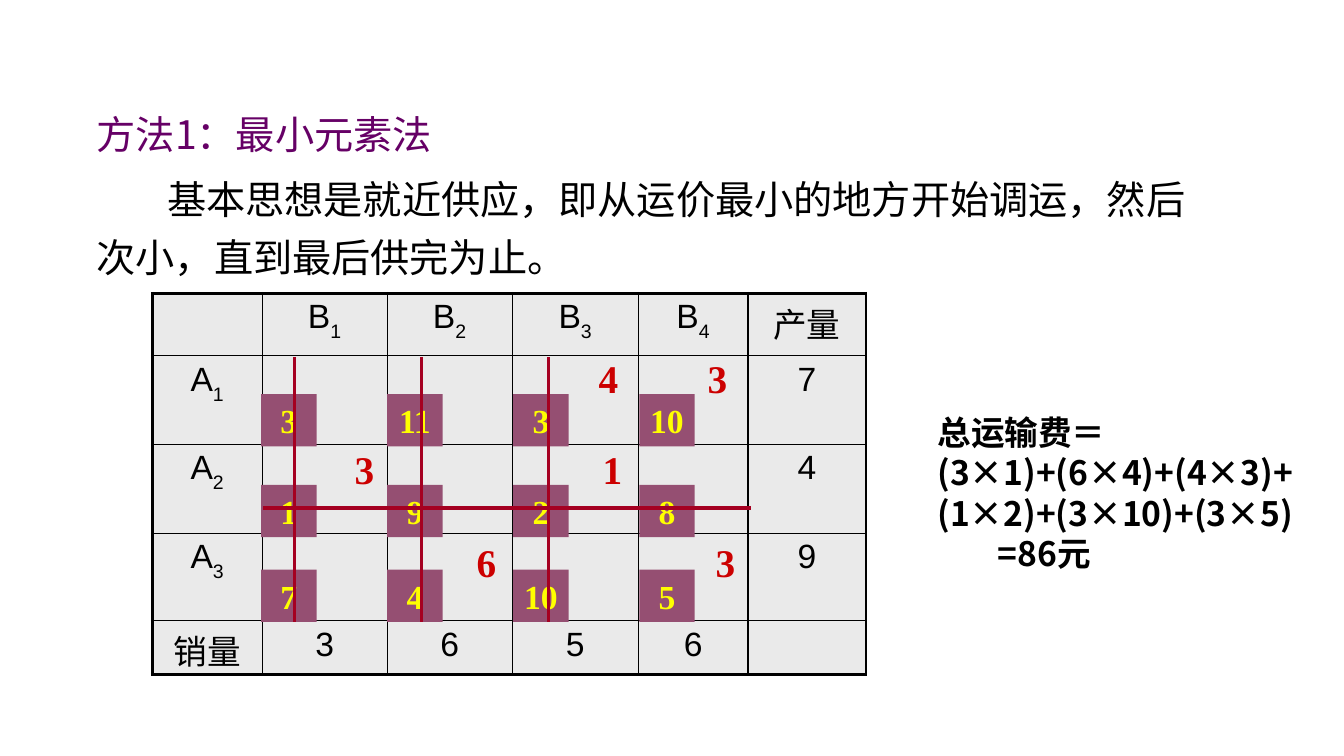
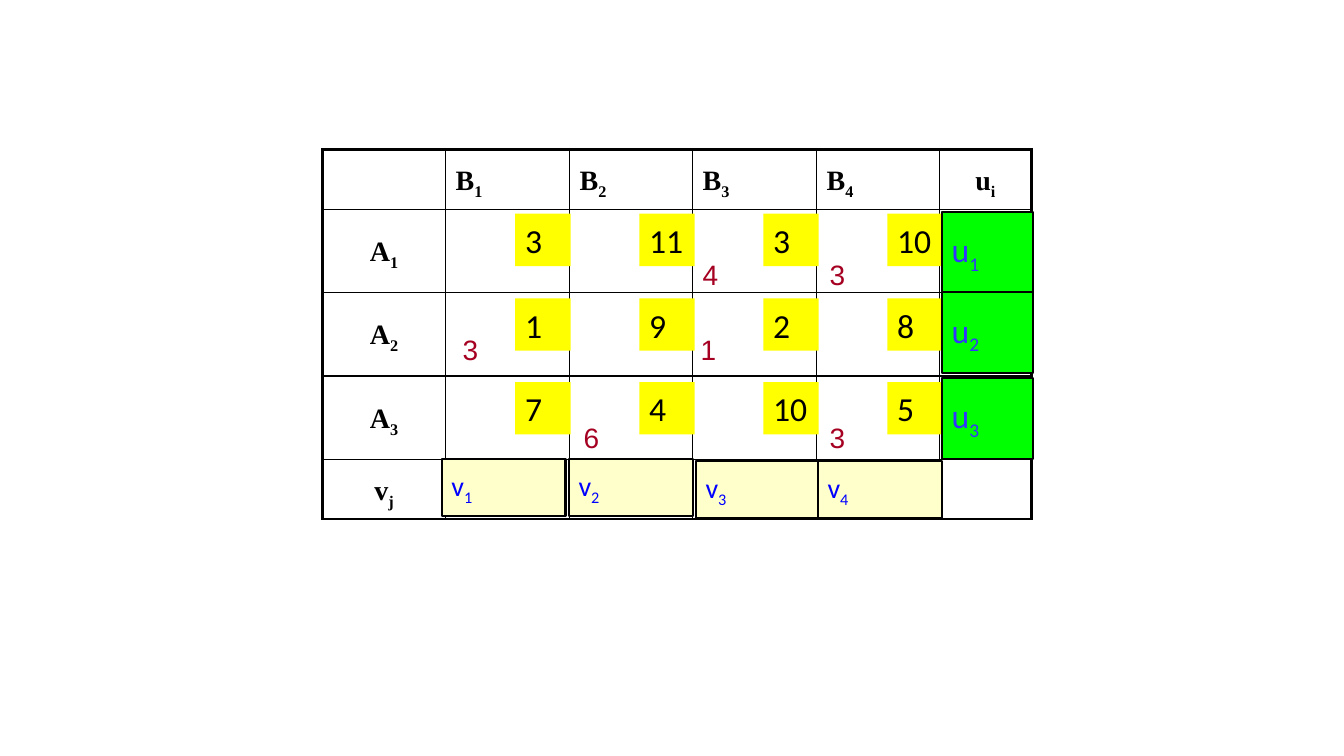
import dataclasses

import lxml.etree
import pptx
import pptx.dml.color
import pptx.enum.shapes
import pptx.enum.text
import pptx.oxml.ns
import pptx.util

PX = 9144
CJK = "Noto Sans CJK SC"
LEFT = pptx.enum.text.PP_ALIGN.LEFT
CENTER = pptx.enum.text.PP_ALIGN.CENTER
TOP = pptx.enum.text.MSO_ANCHOR.TOP
MIDDLE = pptx.enum.text.MSO_ANCHOR.MIDDLE
qn = pptx.oxml.ns.qn


def px(length):
    return pptx.util.Emu(length * PX)


def color(value):
    return pptx.dml.color.RGBColor.from_string(value)


@dataclasses.dataclass(frozen=True)
class TextStyle:
    font: str
    size: int
    color: str
    bold: bool = False
    align: int = LEFT
    anchor: int = MIDDLE
    leading: object = None
    subscript: int = -25


HEADING = TextStyle("Noto Sans CJK JP", 28, "660066", anchor=TOP, leading=pptx.util.Pt(41.4))
BODY = dataclasses.replace(HEADING, color="000000")
TOTAL = TextStyle(CJK, 24, "000000", bold=True, anchor=TOP, leading=pptx.util.Pt(29))
SUPPLY_CELL = TextStyle("Arial", 24, "000000", align=CENTER, anchor=TOP, subscript=-30)
SUPPLY_COST = TextStyle("Times New Roman", 24, "FFFF00", bold=True, align=CENTER)
SUPPLY_AMOUNT = dataclasses.replace(SUPPLY_COST, size=28, color="CC0000")
POTENTIAL_CELL = TextStyle("Times New Roman", 20, "000000", bold=True, align=CENTER, leading=1.2)
POTENTIAL_HEAD = dataclasses.replace(POTENTIAL_CELL, align=LEFT)
POTENTIAL_COST = TextStyle("Calibri", 24, "000000")
ROW_POTENTIAL = dataclasses.replace(POTENTIAL_COST, color="3333FF")
COLUMN_POTENTIAL = TextStyle("Calibri", 20, "0000FF")
POTENTIAL_AMOUNT = TextStyle("Arial", 20, "A50021", anchor=TOP)

COSTS = [[3, 11, 3, 10], [1, 9, 2, 8], [7, 4, 10, 5]]


class Deck:
    """Holds the presentation, its shared style and the current slide."""

    def __init__(self):
        self.presentation = pptx.Presentation()
        self.presentation.slide_width = px(1333)
        self.presentation.slide_height = px(750)
        self.slide = None

    def add_slide(self, layout):
        self.slide = self.presentation.slides.add_slide(self.presentation.slide_layouts[layout])

    def fill_paragraph(self, paragraph, text, style, indent=0):
        paragraph.alignment = style.align
        paragraph.line_spacing = style.leading
        font = paragraph.font
        font.size = pptx.util.Pt(style.size)
        font.bold = style.bold
        font.color.rgb = color(style.color)
        font.name = style.font
        east_asian = lxml.etree.SubElement(font._element, qn("a:ea"))
        east_asian.set("typeface", style.font if "CJK" in style.font else CJK)
        if indent:
            paragraph._p.get_or_add_pPr().set("indent", str(px(indent)))
        base, _, subscript = text.partition("_")
        paragraph.add_run().text = base
        if subscript:
            run = paragraph.add_run()
            run.text = subscript
            run._r.get_or_add_rPr().set("baseline", str(style.subscript * 1000))

    def fill_frame(self, frame, text, style, indent=0):
        frame.word_wrap = True
        frame.auto_size = pptx.enum.text.MSO_AUTO_SIZE.NONE
        frame.vertical_anchor = style.anchor
        self.fill_paragraph(frame.paragraphs[0], text, style, indent)

    def title(self, text, left, top, width, height):
        title = self.slide.shapes.title
        title.left, title.top, title.width, title.height = map(px, (left, top, width, height))
        self.fill_frame(title.text_frame, text, HEADING)

    def text(self, text, left, top, width, height, style, indent=0):
        box = self.slide.shapes.add_textbox(*map(px, (left, top, width, height)))
        self.fill_frame(box.text_frame, text, style, indent)
        return box.text_frame

    def box(self, text, left, top, width, height, fill, style, outlined=False):
        shape = self.slide.shapes.add_shape(
            pptx.enum.shapes.MSO_SHAPE.RECTANGLE, *map(px, (left, top, width, height)))
        shape.shadow.inherit = False
        shape.fill.solid()
        shape.fill.fore_color.rgb = color(fill)
        if outlined:
            shape.line.color.rgb = color("000000")
            shape.line.width = pptx.util.Pt(1.5)
        else:
            shape.line.fill.background()
        self.fill_frame(shape.text_frame, text, style)

    def costs(self, left, top_edges, pitch, fill, style):
        for top, row in zip(top_edges, COSTS):
            for column, cost in enumerate(row):
                self.box(str(cost), left + pitch * column, top, 55, 52, fill, style)

    def line(self, x1, y1, x2, y2):
        connector = self.slide.shapes.add_connector(
            pptx.enum.shapes.MSO_CONNECTOR.STRAIGHT, *map(px, (x1, y1, x2, y2)))
        connector.line.color.rgb = color("A50021")
        connector.line.width = pptx.util.Pt(2.25)
        lxml.etree.SubElement(connector._element.spPr, qn("a:effectLst"))

    def border(self, cell, side, width):
        line = lxml.etree.SubElement(cell._tc.get_or_add_tcPr(), qn("a:ln" + side))
        line.set("w", str(pptx.util.Pt(width)))
        fill = lxml.etree.SubElement(line, qn("a:solidFill"))
        lxml.etree.SubElement(fill, qn("a:srgbClr")).set("val", "000000")

    def table(self, rows, left, top, widths, heights, style, fill=None, heads=None):
        frame = self.slide.shapes.add_table(
            len(heights), len(widths), *map(px, (left, top, sum(widths), sum(heights))))
        table = frame.table
        table.first_row = table.horz_banding = False
        for column, width in zip(table.columns, widths):
            column.width = px(width)
        last_row, last_column = len(heights) - 1, len(widths) - 1
        for r, height in enumerate(heights):
            table.rows[r].height = px(height)
            for c, text in enumerate(rows[r]):
                cell = table.cell(r, c)
                outer = {"L": c == 0, "R": c == last_column, "T": r == 0, "B": r == last_row}
                for side, thick in outer.items():
                    self.border(cell, side, 2.25 if thick else 1)
                if fill:
                    cell.fill.solid()
                    cell.fill.fore_color.rgb = color(fill)
                else:
                    cell.fill.background()
                cell.margin_bottom = px(0 if style.anchor == TOP else 5)
                cell.vertical_anchor = style.anchor
                if text:
                    is_head = heads and r == 0 and c < last_column
                    cell_style = heads if is_head else style
                    self.fill_paragraph(cell.text_frame.paragraphs[0], text, cell_style)


def minimum_element_slide(deck):
    deck.add_slide(5)
    deck.title("方法1：最小元素法", 86, 94, 1113, 62)
    deck.text("基本思想是就近供应，即从运价最小的地方开始调运，然后次小，直到最后供完为止。",
              86, 158, 1113, 125, BODY, indent=70)
    rows = [
        ["", "B_1", "B_2", "B_3", "B_4", "产量"],
        ["A_1", "", "", "", "", "7"],
        ["A_2", "", "", "", "", "4"],
        ["A_3", "", "", "", "", "9"],
        ["销量", "3", "6", "5", "6", ""],
    ]
    deck.table(rows, 151, 291, [109, 124, 124, 125, 109, 117], [62, 88, 88, 87, 52],
               SUPPLY_CELL, fill="EAEAEA")
    deck.costs(259, [391, 481, 565], 125, "954F72", SUPPLY_COST)
    amounts = [(4, 576, 349), (3, 684, 349), (3, 334, 439),
               (1, 580, 439), (6, 455, 531), (3, 692, 531)]
    for amount, left, top in amounts:
        deck.text(str(amount), left, top, 55, 52, SUPPLY_AMOUNT)
    for column in range(3):
        x = 292 + 126 * column
        deck.line(x, 354, x, 617)
    deck.line(261, 504, 745, 504)
    total = deck.text("总运输费＝(3×1)+(6×4)+(4×3)+(1×2)+(3×10)+(3×5)",
                      920, 403, 380, 172, TOTAL)
    deck.fill_paragraph(total.add_paragraph(), "=86元", TOTAL, indent=60)


def potential_slide(deck):
    deck.add_slide(6)
    rows = [
        ["", "B_1", "B_2", "B_3", "B_4", "u_i"],
        *[[f"A_{row}", "", "", "", "", ""] for row in (1, 2, 3)],
        ["v_j", "", "", "", "", ""],
    ]
    deck.table(rows, 320, 148, [122, 123, 122, 123, 122, 91], [60, 82, 83, 83, 59],
               POTENTIAL_CELL, heads=POTENTIAL_HEAD)
    deck.costs(511, [212, 296, 379], 123, "FFFF00", POTENTIAL_COST)
    for number, top in enumerate([210, 290, 375], 1):
        deck.box(f"u_{number}", 934, top, 91, 80, "00FF00", ROW_POTENTIAL, outlined=True)
    for number, (left, top) in enumerate([(438, 455), (564, 455), (690, 457), (811, 457)], 1):
        deck.box(f"v_{number}", left, top, 123, 57, "FFFFCC", COLUMN_POTENTIAL, outlined=True)
    amounts = [(4, 687, 251), (3, 813, 251), (3, 449, 325),
               (1, 685, 325), (6, 569, 412), (3, 813, 412)]
    for amount, left, top in amounts:
        deck.text(str(amount), left, top, 42, 43, POTENTIAL_AMOUNT)


def main():
    deck = Deck()
    minimum_element_slide(deck)
    potential_slide(deck)
    deck.presentation.save("out.pptx")


if __name__ == "__main__":
    main()
